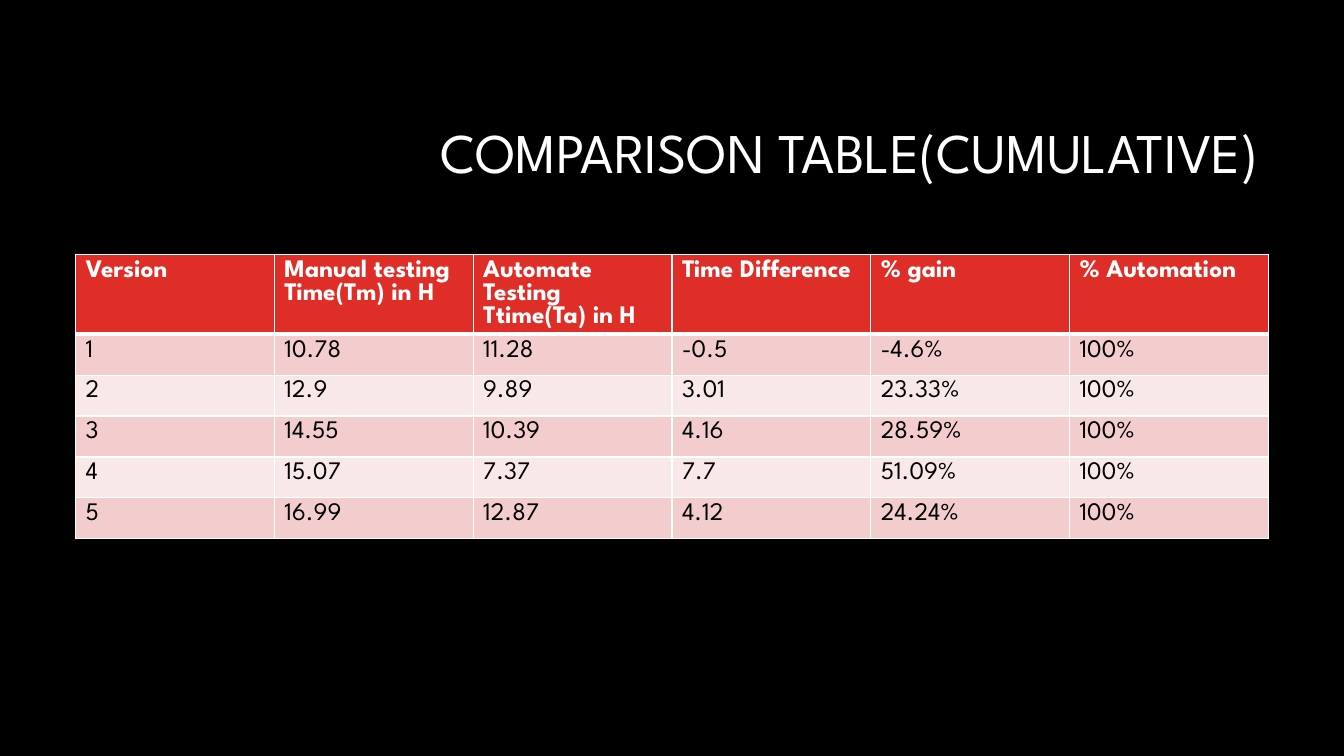
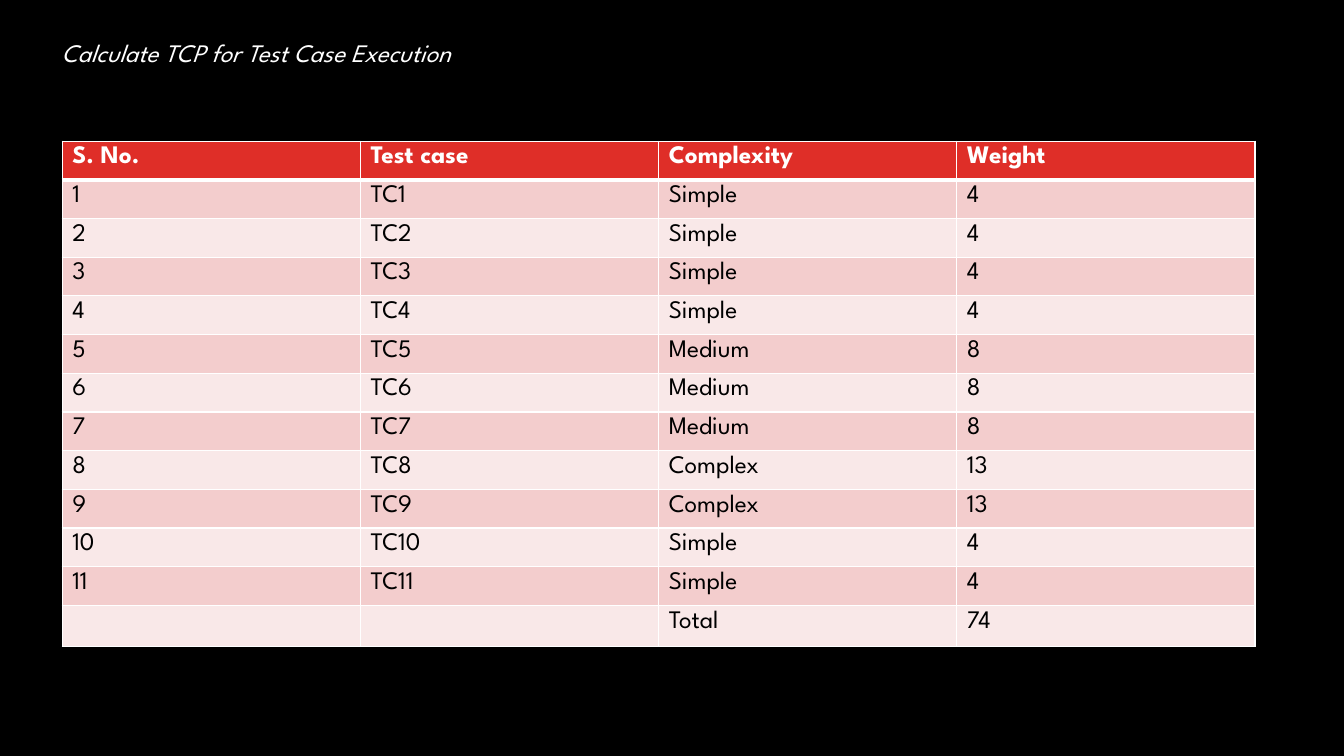
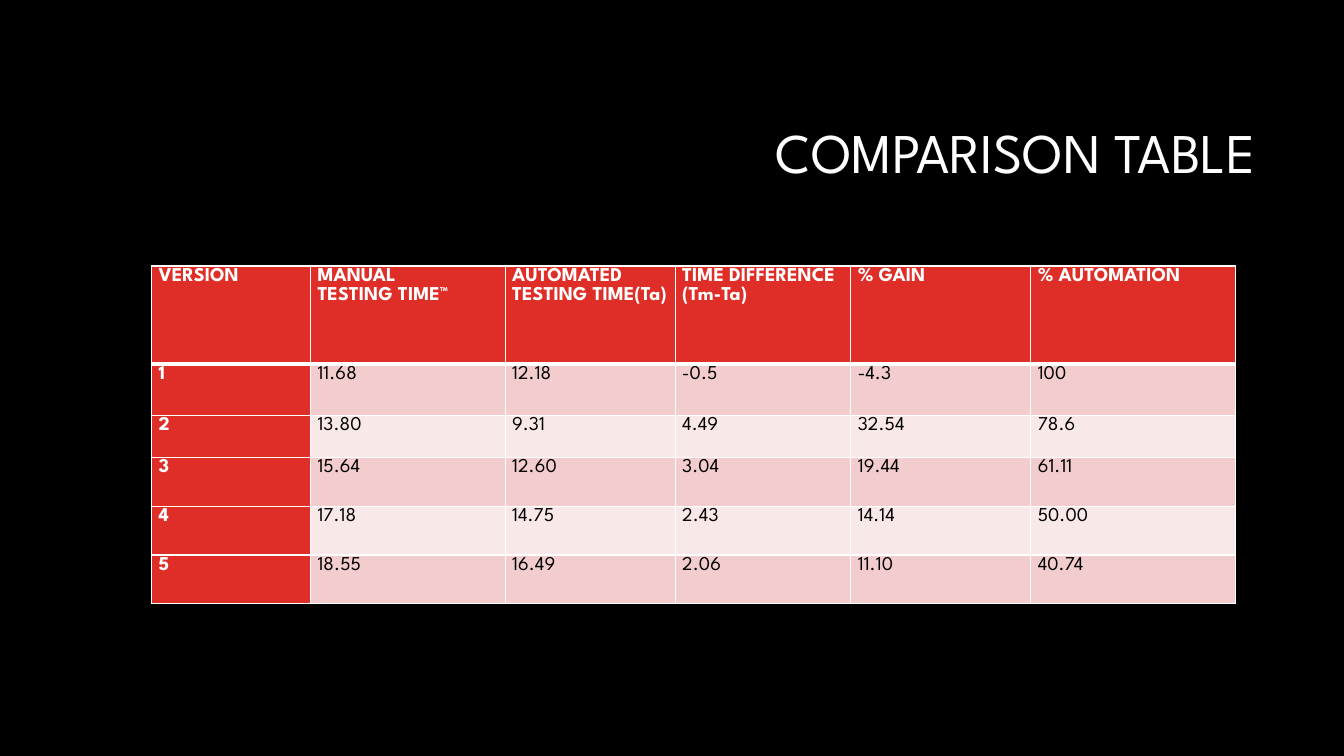
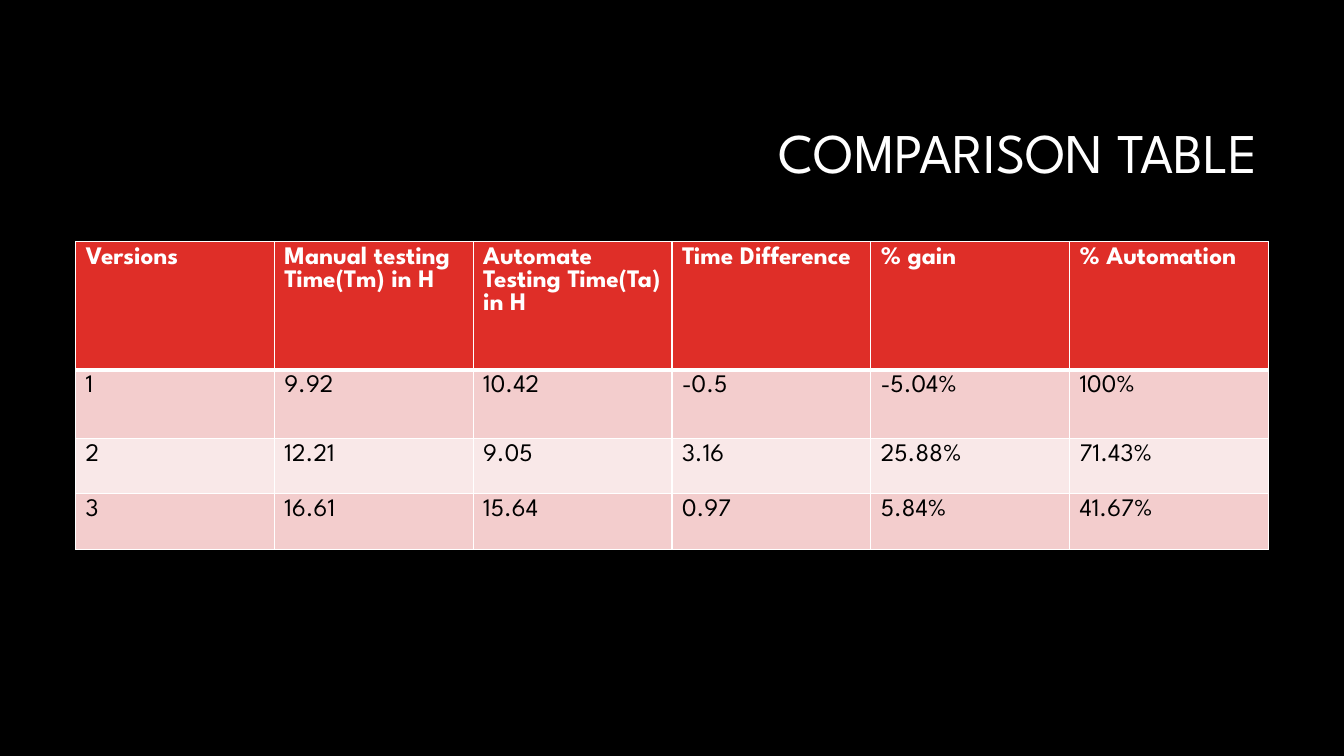
from lxml import etree
from pptx import Presentation
from pptx.dml.color import RGBColor
from pptx.enum.text import MSO_ANCHOR, MSO_AUTO_SIZE, PP_ALIGN
from pptx.oxml.ns import qn
from pptx.util import Pt

MIDDLE = MSO_ANCHOR.MIDDLE
NO_FIT = MSO_AUTO_SIZE.NONE
FIT_SHAPE = MSO_AUTO_SIZE.SHAPE_TO_FIT_TEXT
RIGHT = PP_ALIGN.RIGHT


def rgb(value):
    return RGBColor.from_string(value)


class Deck:
    """Holds the shared style and the current slide."""

    FONT = "League Spartan"
    BLACK, WHITE, RED = "000000", "FFFFFF", "DF2E28"
    BANDS = ("F3CDCD", "F9E8E8")
    TITLE_ONLY, BLANK = 5, 6

    def __init__(self):
        self.prs = Presentation()
        self.prs.slide_width, self.prs.slide_height = Pt(960), Pt(540)
        fill = self.prs.slide_master.background.fill
        fill.solid()
        fill.fore_color.rgb = rgb(self.BLACK)
        self.s = None

    def slide(self, layout):
        self.s = self.prs.slides.add_slide(self.prs.slide_layouts[layout])

    def run(self, p, text, size, color, bold=False, italic=False):
        r = p.add_run()
        r.text = text
        f = r.font
        f.name, f.size, f.bold, f.italic = self.FONT, Pt(size), bold, italic
        f.color.rgb = rgb(color)

    def title(self, text, left=228):
        self.slide(self.TITLE_ONLY)
        sp = self.s.shapes.title
        sp.left, sp.top, sp.width, sp.height = Pt(left), Pt(60.5), Pt(678), Pt(101.5)
        tf = sp.text_frame
        tf.auto_size, tf.vertical_anchor, tf.word_wrap = NO_FIT, MIDDLE, True
        p = tf.paragraphs[0]
        p.alignment, p.line_spacing = RIGHT, 0.9
        self.run(p, text, 40, self.WHITE)

    def caption(self, text, left, top, width, height):
        sp = self.s.shapes.add_textbox(Pt(left), Pt(top), Pt(width), Pt(height))
        tf = sp.text_frame
        tf.word_wrap, tf.auto_size = False, FIT_SHAPE
        self.run(tf.paragraphs[0], text, 18, self.WHITE, italic=True)

    def borders(self, cell, top, bottom):
        tc_pr = cell._tc.get_or_add_tcPr()
        for side, width in (("L", 1), ("R", 1), ("T", top), ("B", bottom)):
            ln = etree.SubElement(tc_pr, qn("a:ln" + side), w=str(Pt(width)))
            solid = etree.SubElement(ln, qn("a:solidFill"))
            etree.SubElement(solid, qn("a:srgbClr"), val=self.WHITE)

    def table(self, left, top, widths, heights, rows, size=18,
              compact=False, head_column=False):
        frame = self.s.shapes.add_table(len(rows), len(widths), Pt(left), Pt(top),
                                        Pt(sum(widths)), Pt(sum(heights)))
        table = frame.table
        table.horz_banding, table.first_col = False, head_column
        for column, width in zip(table.columns, widths):
            column.width = Pt(width)
        for i, (row, height) in enumerate(zip(rows, heights)):
            table.rows[i].height = Pt(height)
            for j, text in enumerate(row):
                cell = table.cell(i, j)
                head = i == 0 or (head_column and j == 0)
                # The rule below the header row is thicker
                self.borders(cell, 3 if i == 1 else 1, 3 if i == 0 else 1)
                cell.fill.solid()
                cell.fill.fore_color.rgb = rgb(self.RED if head else self.BANDS[(i - 1) % 2])
                if compact:
                    cell.margin_left = cell.margin_right = Pt(5)
                    cell.margin_top = cell.margin_bottom = Pt(0)
                if text:
                    self.cell_text(cell.text_frame, text, size, head, compact)

    def cell_text(self, tf, text, size, head, compact):
        for n, line in enumerate(text.split("\n")):
            p = tf.add_paragraph() if n else tf.paragraphs[0]
            if compact:
                p.line_spacing = 1.07
            self.run(p, line, size, self.WHITE if head else self.BLACK, bold=head)


def main():
    deck = Deck()
    six_columns = [142] * 6

    # Cumulative comparison
    deck.title("COMPARISON TABLE(CUMULATIVE)")
    deck.table(54, 181.8, six_columns, [57] + [29.2] * 5, [
        ("Version", "Manual testing Time(Tm) in H", "Automate Testing Ttime(Ta) in H",
         "Time Difference", "% gain", "% Automation"),
        ("1", "10.78", "11.28", "-0.5", "-4.6%", "100%"),
        ("2", "12.9", "9.89", "3.01", "23.33%", "100%"),
        ("3", "14.55", "10.39", "4.16", "28.59%", "100%"),
        ("4", "15.07", "7.37", "7.7", "51.09%", "100%"),
        ("5", "16.99", "12.87", "4.12", "24.24%", "100%"),
    ])

    # Test case points
    deck.slide(deck.BLANK)
    weights = {"Simple": 4, "Medium": 8, "Complex": 13}
    cases = ["Simple"] * 4 + ["Medium"] * 3 + ["Complex"] * 2 + ["Simple"] * 2
    rows = [("S. No.", "Test case", "Complexity", "Weight")]
    rows += [(str(n), f"TC{n}", case, str(weights[case])) for n, case in enumerate(cases, 1)]
    rows.append(("", "", "Total", str(sum(weights[case] for case in cases))))
    deck.table(44.5, 100.8, [213] * 4, [27.65] * len(rows), rows)
    deck.caption("Calculate TCP for Test Case Execution", 37, 23, 348, 51)

    # Comparison of five versions
    deck.title("COMPARISON TABLE", left=226)
    deck.table(108.3, 190, [113.5, 139, 121.5, 125.5, 128.5, 146],
               [70.2, 36.5, 30.4] + [34.7] * 3, [
        ("VERSION", "MANUAL\nTESTING TIME™", "AUTOMATED\nTESTING TIME(Ta)",
         "TIME DIFFERENCE\n(Tm-Ta)", "% GAIN", "% AUTOMATION"),
        ("1", "11.68", "12.18", "-0.5", "-4.3", "100"),
        ("2", "13.80", "9.31", "4.49", "32.54", "78.6"),
        ("3", "15.64", "12.60", "3.04", "19.44", "61.11"),
        ("4", "17.18", "14.75", "2.43", "14.14", "50.00"),
        ("5", "18.55", "16.49", "2.06", "11.10", "40.74"),
    ], size=14, compact=True, head_column=True)

    # Comparison of three versions
    deck.title("COMPARISON TABLE")
    deck.table(54, 172.5, six_columns, [91.6, 49.2, 39.5, 39.5], [
        ("Versions", "Manual testing Time(Tm) in H", "Automate Testing Time(Ta) in H",
         "Time Difference", "% gain", "% Automation"),
        ("1", "9.92", "10.42", "-0.5", "-5.04%", "100%"),
        ("2", "12.21", "9.05", "3.16", "25.88%", "71.43%"),
        ("3", "16.61", "15.64", "0.97", "5.84%", "41.67%"),
    ])

    deck.prs.save("out.pptx")


if __name__ == "__main__":
    main()
